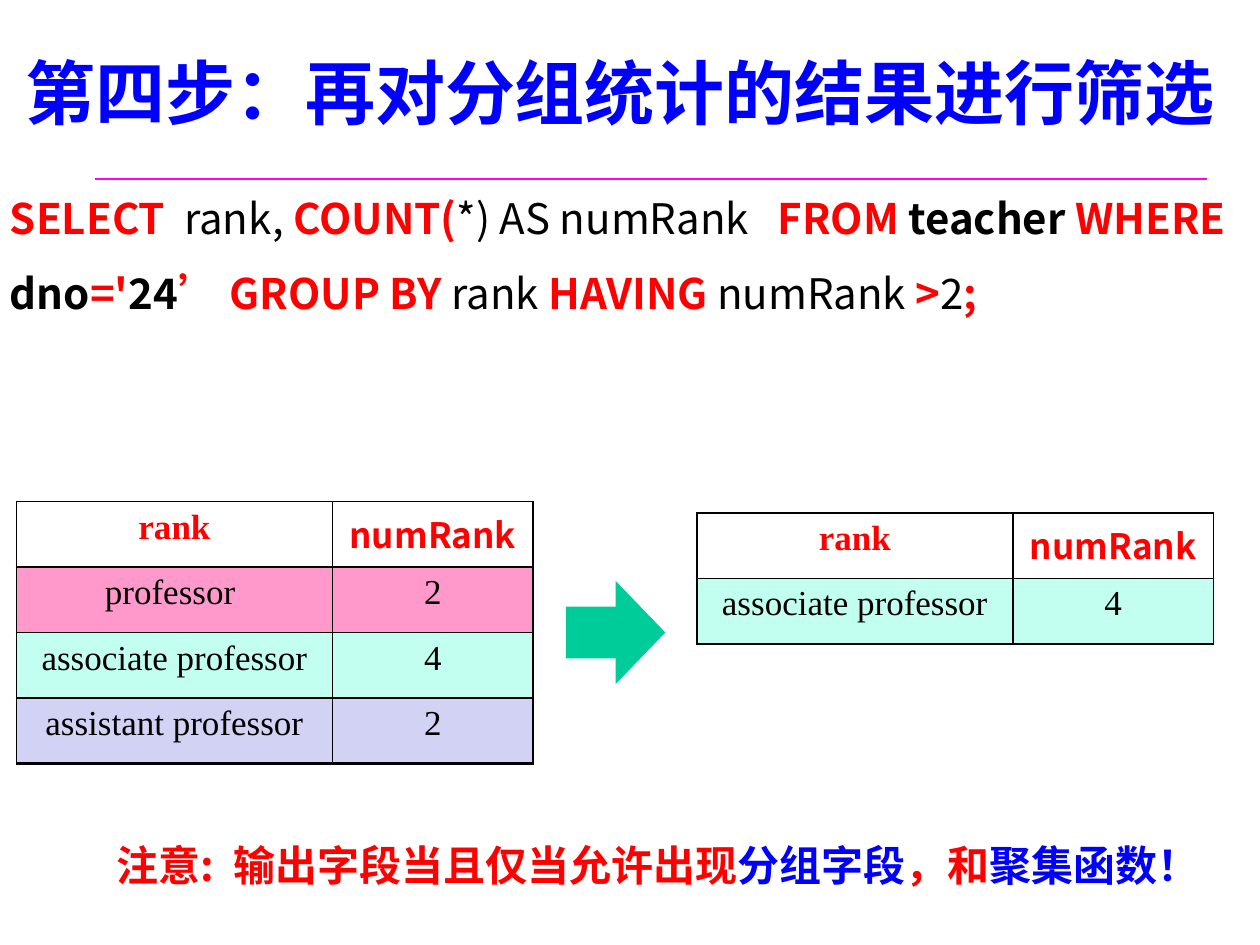
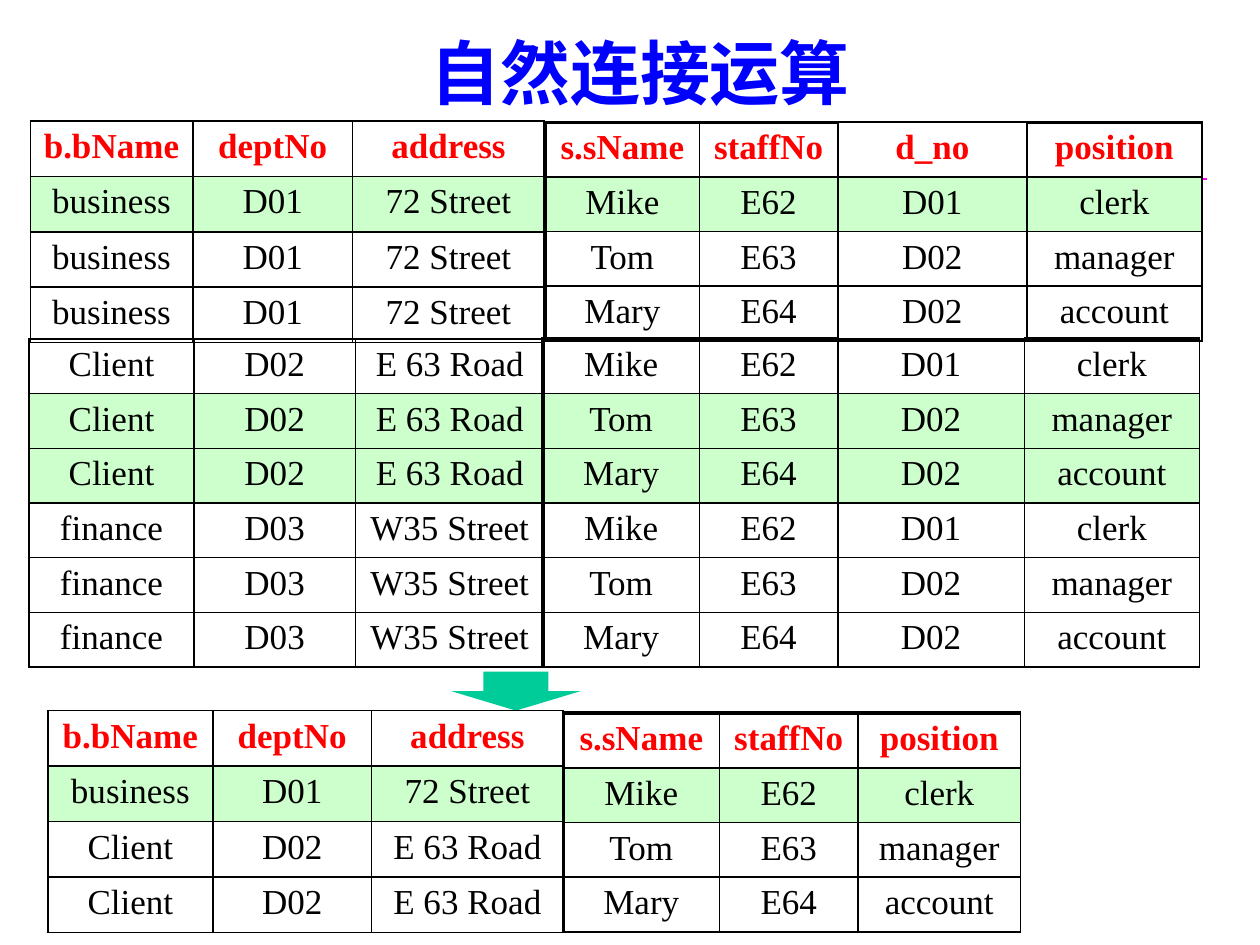
"""Builds two slides on SQL grouping and natural join."""
from itertools import product

from lxml import etree
from pptx import Presentation
from pptx import util as u
from pptx.dml.color import RGBColor
from pptx.enum import shapes, text
from pptx.oxml import ns

INK = {"blue": "0000FF", "red": "FF0000", "black": "000000", "line": "FF00FF",
       "arrow": "00CC99", "white": "FFFFFF", "pink": "FF99CC", "mint": "C2FFF0",
       "lilac": "D2D2F4", "green": "CCFFCC"}
SANS, SERIF = "Noto Sans CJK SC", "Times New Roman"
THIN, THICK = u.Pt(1), u.Pt(2.25)


class Deck:
    """Holds the shared style and the current slide."""

    def __init__(self):
        self.prs = Presentation()
        self.prs.slide_width, self.prs.slide_height = u.Inches(10), u.Inches(7.5)
        self.slide = None

    def color(self, name):
        return RGBColor.from_string(INK[name])

    def box(self, at):
        return [u.Inches(x) for x in at]

    def style(self, para, face, size, ink=None, bold=None):
        font = para.font
        font.name, font.size, font.bold = face, u.Pt(size), bold
        if ink:
            font.color.rgb = self.color(ink)
        props = para._p.pPr.find(ns.qn("a:defRPr"))
        etree.SubElement(props, ns.qn("a:ea"), typeface=face)

    def page(self, title, at):
        self.slide = self.prs.slides.add_slide(self.prs.slide_layouts[6])
        rule = self.slide.shapes.add_connector(
            shapes.MSO_CONNECTOR.STRAIGHT, *self.box((0.75, 1.42, 9.58, 1.42)))
        rule.line.color.rgb = self.color("line")
        rule.line.width = u.Pt(1.5)
        etree.SubElement(rule._element.spPr, ns.qn("a:effectLst"))
        frame = self.frame(at)
        frame.vertical_anchor = text.MSO_ANCHOR.MIDDLE
        para = frame.paragraphs[0]
        para.text = title
        para.alignment = text.PP_ALIGN.CENTER
        self.style(para, SANS, 40, "blue", True)

    def frame(self, at, wrap=True):
        frame = self.slide.shapes.add_textbox(*self.box(at)).text_frame
        frame.word_wrap = wrap
        return frame

    def rich(self, at, runs, wrap=True, pitch=None):
        para = self.frame(at, wrap).paragraphs[0]
        para.line_spacing = pitch
        self.style(para, SANS, 24)
        for words, ink, bold in runs:
            run = para.add_run()
            run.text = words
            run.font.bold = bold
            run.font.color.rgb = self.color(ink)

    def arrow(self, kind, at):
        shape = self.slide.shapes.add_shape(kind, *self.box(at))
        shape.shadow.inherit = False
        shape.fill.solid()
        shape.fill.fore_color.rgb = self.color("arrow")
        shape.line.fill.background()

    def edge(self, cell, side, width):
        line = etree.SubElement(cell._tc.get_or_add_tcPr(), ns.qn("a:ln" + side), w=str(width))
        fill = etree.SubElement(line, ns.qn("a:solidFill"))
        etree.SubElement(fill, ns.qn("a:srgbClr"), val=INK["black"])

    def table(self, left, top, cols, highs, rows, fills, head=True, bold_edges=()):
        """Draws a grid; bold_edges holds 'L', 'B' or the columns with a thick top."""
        at = self.box((left, top, sum(cols), sum(highs)))
        grid = self.slide.shapes.add_table(len(rows), len(cols), *at).table
        grid.first_row = grid.horz_banding = False
        for col, wide in zip(grid.columns, cols):
            col.width = u.Inches(wide)
        for row, high in zip(grid.rows, highs):
            row.height = u.Inches(high)
        for r, (row, fill) in enumerate(zip(rows, fills)):
            top_row = head and r == 0
            for c, words in enumerate(row):
                cell = grid.cell(r, c)
                thick = {"L": c == 0 and "L" in bold_edges,
                         "R": False,
                         "T": r == 0 and c in bold_edges,
                         "B": r == len(rows) - 1 and "B" in bold_edges}
                for side, heavy in thick.items():
                    self.edge(cell, side, THICK if heavy else THIN)
                if fill:
                    cell.fill.solid()
                    cell.fill.fore_color.rgb = self.color(fill)
                else:
                    cell.fill.background()
                para = cell.text_frame.paragraphs[0]
                para.text = words
                para.alignment = text.PP_ALIGN.CENTER
                self.style(para, SANS if words == "numRank" else SERIF, 20,
                           "red" if top_row else "black", top_row)


def filter_page(deck):
    deck.page("第四步：再对分组统计的结果进行筛选", (-0.02, 0.1, 9.88, 1.25))
    deck.rich((-0.02, 1.28, 10.2, 2.88), [
        ("SELECT  ", "red", True), ("rank, ", "black", False),
        ("COUNT(", "red", True), ("*) AS numRank", "black", False),
        ("   FROM ", "red", True), ("teacher ", "black", True),
        ("WHERE", "red", True), (" dno", "black", True),
        ("='", "red", True), ("24", "black", True),
        ("’ GROUP BY ", "red", True), ("rank ", "black", False),
        ("HAVING", "red", True), (" numRank ", "black", False),
        (">", "red", True), ("2", "black", False), (";", "red", True)],
        pitch=u.Pt(43))
    head, cols = ("rank", "numRank"), (2.51, 1.59)
    match = ("associate professor", "4")
    deck.table(0.13, 3.98, cols, [0.52] * 4,
               [head, ("professor ", "2"), match, ("assistant professor", "2")],
               ["white", "pink", "mint", "lilac"], bold_edges=("B",))
    deck.table(5.53, 4.07, cols, [0.52] * 2, [head, match], ["white", "mint"])
    deck.arrow(shapes.MSO_SHAPE.RIGHT_ARROW, (4.49, 4.61, 0.79, 0.82))
    deck.rich((0.83, 6.61, 8.83, 0.5), [
        ("注意:  输出字段当且仅当允许出现", "red", True), ("分组字段", "blue", True),
        ("，和", "red", True), ("聚集函数！", "blue", True)], wrap=False)


def join_page(deck):
    deck.page("自然连接运算", (0.83, 0.05, 8.5, 1.04))
    depts = [("business", "D01", "72 Street"), ("Client", "D02", "E 63 Road"),
             ("finance", "D03", "W35 Street")]
    staff = [("Mike", "E62", "D01", "clerk"), ("Tom", "E63", "D02", "manager"),
             ("Mary", "E64", "D02", "account")]
    left = ("b.bName", "deptNo", "address")
    right = ("s.sName", "staffNo", "d_no", "position")
    pairs = list(product(depts, staff))
    fills = ["green" if d[1] == s[2] else None for d, s in pairs]
    lefts, rights = [d for d, _ in pairs], [s for _, s in pairs]
    first, rest = [None] + fills[:3], fills[3:]
    edges = ("L", 0, 1, 3)

    deck.table(0.24, 0.96, (1.29, 1.27, 1.52), [0.44] * 4, [left] + lefts[:3], first)
    deck.table(4.33, 0.97, (1.22, 1.1, 1.5, 1.39), [0.43] * 4,
               [right] + rights[:3], first, bold_edges=edges)
    deck.table(0.23, 2.69, (1.31, 1.28, 1.5), [0.43] * 4 + [0.22] * 2,
               lefts[3:], rest, head=False)
    deck.table(4.31, 2.69, (1.24, 1.1, 1.48, 1.39), [0.43] * 6,
               rights[3:], rest, head=False, bold_edges=edges)
    deck.arrow(shapes.MSO_SHAPE.DOWN_ARROW, (3.58, 5.33, 1.03, 0.31))

    joined = [(d, s) for d, s in pairs if d[1] == s[2]]
    first = [None, "green", None, None]
    deck.table(0.38, 5.64, (1.31, 1.26, 1.52), [0.44] * 4,
               [left] + [d for d, _ in joined], first)
    deck.table(4.47, 5.66, (1.24, 1.1, 1.29), [0.43] * 4,
               [s[:2] + s[3:] for s in [right] + [s for _, s in joined]],
               first, bold_edges=("L", 0, 1, 2))


def main():
    deck = Deck()
    filter_page(deck)
    join_page(deck)
    deck.prs.save("out.pptx")


if __name__ == "__main__":
    main()
